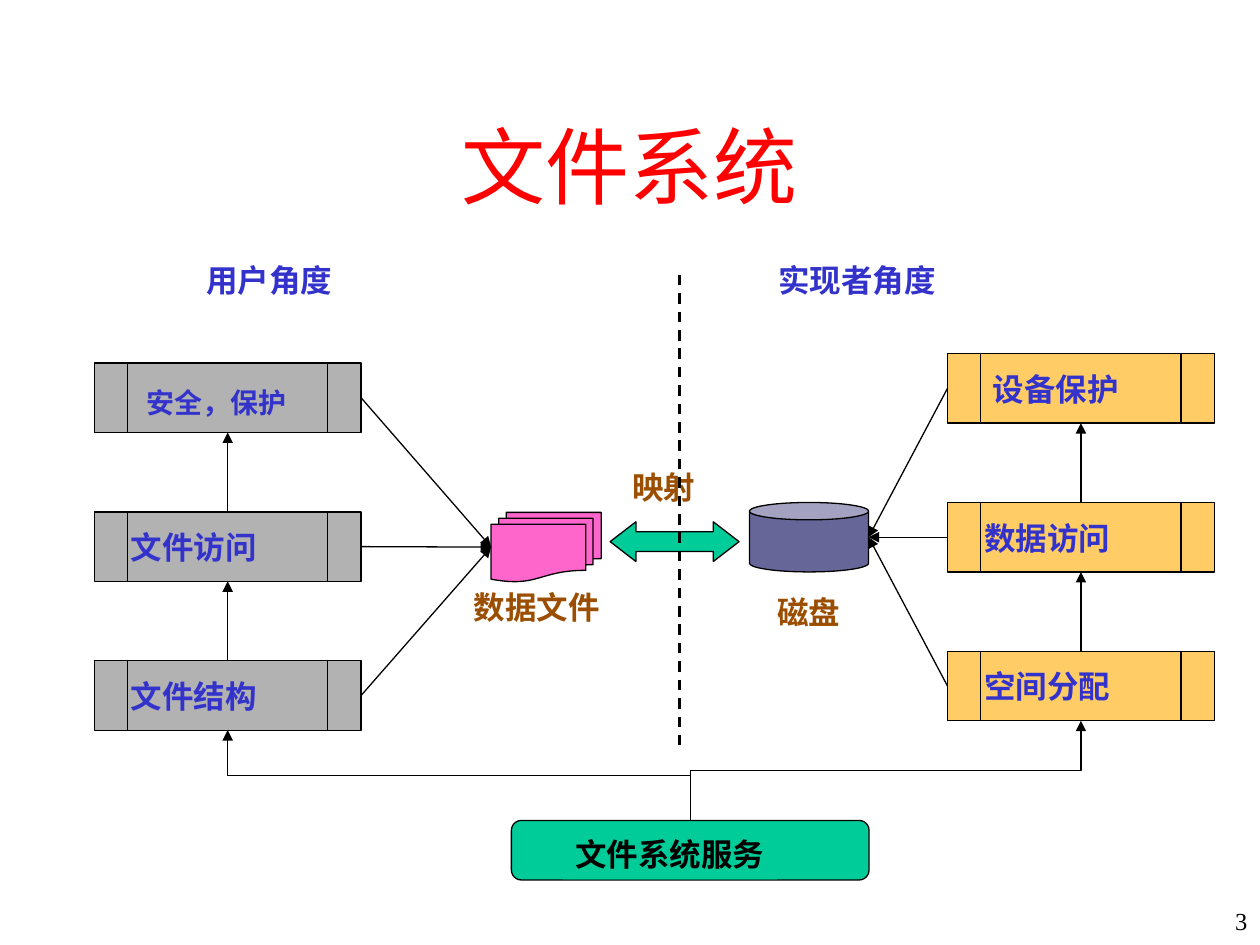
from dataclasses import dataclass

from lxml.etree import SubElement
from pptx import Presentation
from pptx.dml.color import RGBColor
from pptx.enum.dml import MSO_LINE_DASH_STYLE as Dash
from pptx.enum.shapes import MSO_CONNECTOR as Link
from pptx.enum.shapes import MSO_SHAPE as Preset
from pptx.enum.text import MSO_ANCHOR as Anchor
from pptx.enum.text import MSO_AUTO_SIZE as AutoSize
from pptx.enum.text import PP_ALIGN as Align
from pptx.oxml.ns import qn
from pptx.shapes.autoshape import Shape
from pptx.shapes.connector import Connector
from pptx.shapes.shapetree import SlideShapes
from pptx.util import Cm, Pt

COLORS = {
    "black": "000000",
    "red": "FF0000",
    "blue": "3333CC",
    "brown": "9C4E00",
    "gray": "B2B2B2",
    "amber": "FFCC66",
    "green": "00CC99",
    "pink": "FF66CC",
    "slate": "666699",
}
STEP_WIDTH, STEP_HEIGHT, STEP_PITCH = 5.38, 1.4, 3.0
TOP, LEFT, BOTTOM, RIGHT = range(4)


@dataclass(frozen=True)
class Label:
    text: str
    left: float
    top: float
    width: float
    color: str
    size: float = 18
    height: float = 1.02
    font: str = "Cabin"
    bold: bool = True
    align: Align = Align.LEFT
    anchor: Anchor = Anchor.TOP
    wrap: bool = False


@dataclass(frozen=True)
class Figure:
    preset: Preset
    left: float
    top: float
    width: float
    height: float
    color: str
    adjustments: tuple[float, ...] = ()


@dataclass(frozen=True)
class Step:
    text: str
    width: float = 3.05
    indent: float = 0.49
    drop: float = 0.2
    size: float = 18


@dataclass(frozen=True)
class Column:
    left: float
    top: float
    color: str
    steps: tuple[Step, ...]


TITLE = Label("文件系统", 0.89, 2.13, 23.6, "red", 48, 2.39, "Times New Roman", False,
              Align.CENTER, Anchor.MIDDLE, True)
PAGE_NUMBER = Label("3", 24.05, 18.14, 1.35, "black", 14, 0.91, "Times New Roman", False,
                    Align.RIGHT, Anchor.TOP, True)
LABELS = (
    Label("数据文件", 9.3, 11.73, 3.05, "brown"),
    Label("磁盘", 15.42, 11.84, 1.78, "brown"),
    Label("映射", 12.5, 9.32, 1.78, "brown"),
    Label("用户角度", 3.91, 5.13, 3.05, "blue"),
    Label("实现者角度", 15.44, 5.13, 3.68, "blue"),
)
SERVICE = Figure(Preset.FLOWCHART_ALTERNATE_PROCESS, 10.31, 16.54, 7.21, 1.2, "green")
SERVICE_LABEL = Label("文件系统服务", 11.35, 16.71, 4.32, "black")
FILES = Figure(Preset.FLOWCHART_MULTIDOCUMENT, 9.9, 10.33, 2.22, 1.4, "pink")
DISK = Figure(Preset.CAN, 15.11, 10.13, 2.4, 1.4, "slate", (0.25,))
MAPPING = Figure(Preset.LEFT_RIGHT_ARROW, 12.3, 10.52, 2.6, 0.8, "green", (0.5, 0.65))
USER_COLUMN = Column(1.9, 7.32, "gray", (
    Step("安全，保护", 3.33, 0.81, 0.33, 16),
    Step("文件访问"),
    Step("文件结构"),
))
IMPLEMENTER_COLUMN = Column(19.1, 7.13, "amber", (
    Step("设备保护", indent=0.66),
    Step("数据访问"),
    Step("空间分配"),
))


def rgb(name: str) -> RGBColor:
    return RGBColor.from_string(COLORS[name])


def apply_format(target: object, values: dict[str, object]) -> None:
    for name, value in values.items():
        setattr(target, name, value)


def add_label(shapes: SlideShapes, label: Label) -> Shape:
    box = shapes.add_textbox(Cm(label.left), Cm(label.top), Cm(label.width), Cm(label.height))
    apply_format(box.text_frame, {
        "word_wrap": label.wrap,
        "auto_size": AutoSize.NONE if label.wrap else AutoSize.SHAPE_TO_FIT_TEXT,
        "vertical_anchor": label.anchor,
    })
    paragraph = box.text_frame.paragraphs[0]
    paragraph.alignment = label.align
    run = paragraph.add_run()
    run.text = label.text
    apply_format(run.font, {"name": label.font, "size": Pt(label.size), "bold": label.bold})
    run.font.color.rgb = rgb(label.color)
    return box


def add_figure(shapes: SlideShapes, figure: Figure) -> Shape:
    shape = shapes.add_shape(figure.preset, Cm(figure.left), Cm(figure.top),
                             Cm(figure.width), Cm(figure.height))
    shape.shadow.inherit = False
    shape.fill.solid()
    shape.fill.fore_color.rgb = rgb(figure.color)
    shape.line.color.rgb = rgb("black")
    shape.line.width = Pt(0.75)
    for index, value in enumerate(figure.adjustments):
        shape.adjustments[index] = value
    return shape


def add_line(shapes: SlideShapes, kind: Link, start: tuple[int, int], end: tuple[int, int],
             width: float = 0.75, arrow: bool = True) -> Connector:
    connector = shapes.add_connector(kind, *start, *end)
    connector.line.color.rgb = rgb("black")
    connector.line.width = Pt(width)
    if arrow:
        SubElement(connector.line._get_or_add_ln(), qn("a:tailEnd"), type="triangle")
    SubElement(connector._element.spPr, qn("a:effectLst"))
    return connector


def side_point(shape: Shape, side: int) -> tuple[int, int]:
    middle_x, middle_y = shape.left + shape.width // 2, shape.top + shape.height // 2
    return ((middle_x, shape.top), (shape.left, middle_y),
            (middle_x, shape.top + shape.height), (shape.left + shape.width, middle_y))[side]


def join(shapes: SlideShapes, source: Shape, source_side: int,
         target: Shape, target_side: int, glue_target: bool = True) -> None:
    connector = add_line(shapes, Link.STRAIGHT, side_point(source, source_side),
                         side_point(target, target_side))
    connector.begin_connect(source, source_side)
    if glue_target:
        connector.end_connect(target, target_side)


def add_rising_elbow(shapes: SlideShapes, source: Shape, target: Shape) -> None:
    start_x, start_y = side_point(source, TOP)
    end_x, end_y = side_point(target, BOTTOM)
    rise, run = start_y - end_y, abs(end_x - start_x)
    left = (start_x + end_x - rise) // 2
    top = (start_y + end_y - run) // 2
    connector = add_line(shapes, Link.ELBOW, (left, top), (left + rise, top + run))
    transform = connector._element.spPr.find(qn("a:xfrm"))
    transform.set("rot", str(270 * 60000))
    if end_x < start_x:
        transform.set("flipV", "1")


def add_column(shapes: SlideShapes, column: Column) -> list[Shape]:
    boxes = []
    for index, step in enumerate(column.steps):
        top = column.top + index * STEP_PITCH
        boxes.append(add_figure(shapes, Figure(Preset.FLOWCHART_PREDEFINED_PROCESS, column.left,
                                               top, STEP_WIDTH, STEP_HEIGHT, column.color)))
        add_label(shapes, Label(step.text, column.left + step.indent, top + step.drop,
                                step.width, "blue", step.size))
    for upper, lower in zip(boxes, boxes[1:]):
        join(shapes, lower, TOP, upper, BOTTOM)
    return boxes


def main() -> None:
    presentation = Presentation()
    apply_format(presentation, {"slide_width": Cm(25.4), "slide_height": Cm(19.05)})
    slide = presentation.slides.add_slide(presentation.slide_layouts[6])
    shapes = slide.shapes
    add_label(shapes, PAGE_NUMBER)
    add_label(shapes, TITLE)
    service = add_figure(shapes, SERVICE)
    service_label = add_label(shapes, SERVICE_LABEL)
    service_label.fill.solid()
    service_label.fill.fore_color.rgb = rgb("green")
    files, disk, _ = (add_figure(shapes, figure) for figure in (FILES, DISK, MAPPING))
    user_boxes = add_column(shapes, USER_COLUMN)
    implementer_boxes = add_column(shapes, IMPLEMENTER_COLUMN)
    for box in user_boxes:
        join(shapes, box, RIGHT, files, LEFT)
    for box in implementer_boxes:
        join(shapes, box, LEFT, disk, RIGHT, glue_target=False)
    for boxes in (user_boxes, implementer_boxes):
        add_rising_elbow(shapes, service, boxes[-1])
    for label in LABELS:
        add_label(shapes, label)
    divider = add_line(shapes, Link.STRAIGHT, (Cm(13.7), Cm(5.54)), (Cm(13.7), Cm(15.11)),
                       1.5, arrow=False)
    divider.line.dash_style = Dash.DASH
    presentation.save("out.pptx")


if __name__ == "__main__":
    main()
